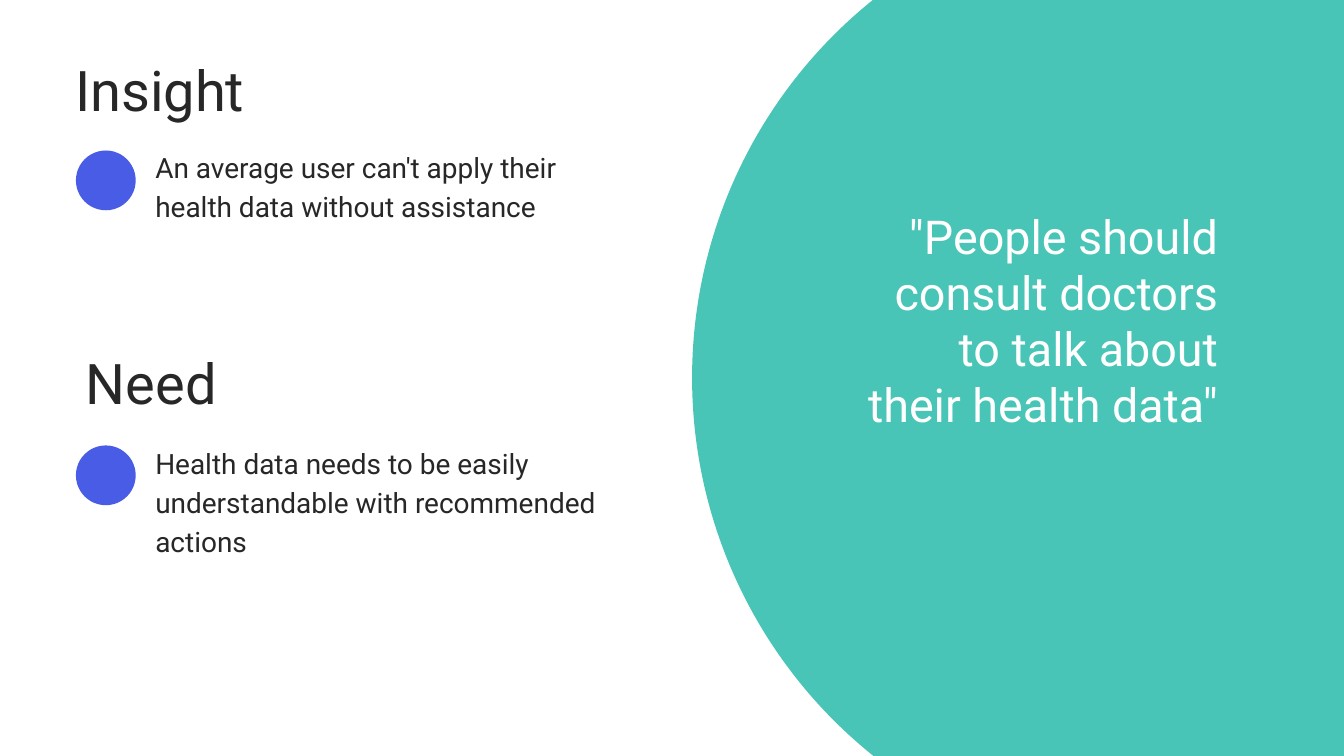
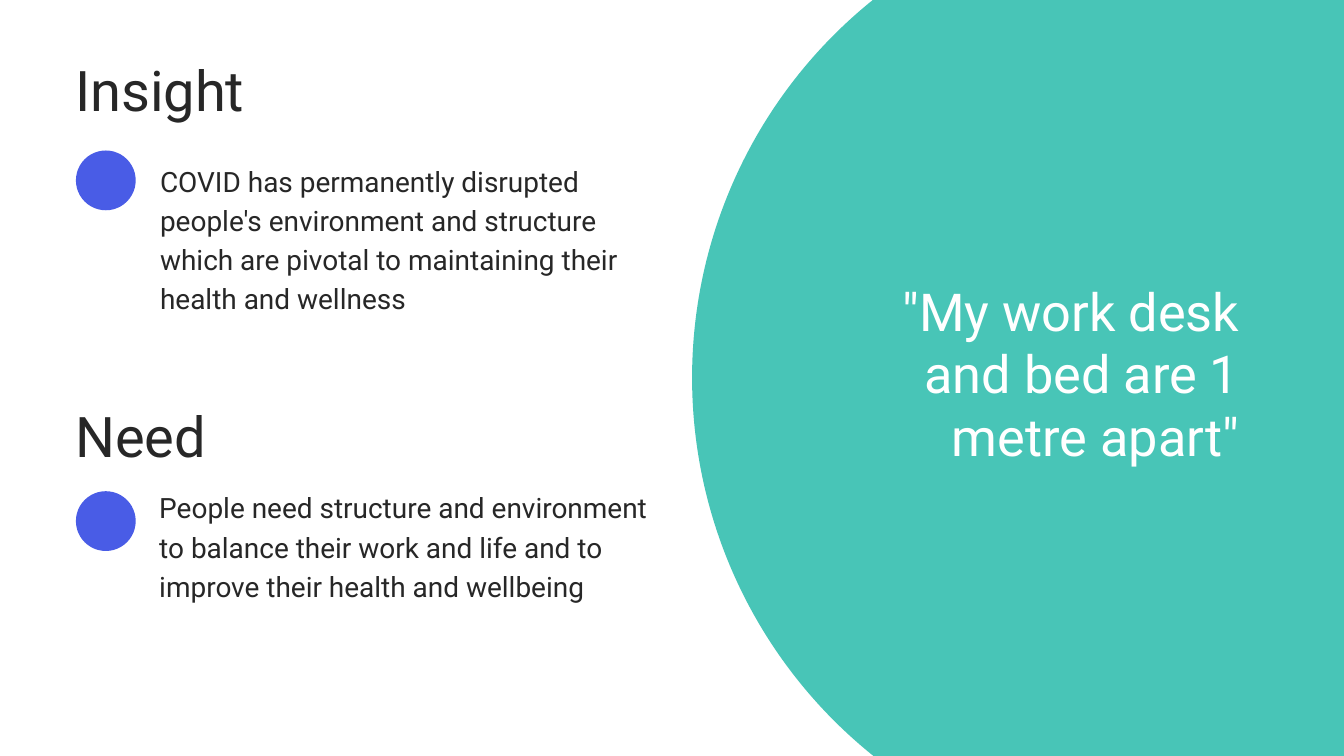
"""Build two insight-and-need slides, each with a user quote on a large circle."""
from pptx import Presentation
from pptx.dml.color import RGBColor
from pptx.enum.shapes import MSO_SHAPE
from pptx.enum.text import MSO_ANCHOR, MSO_AUTO_SIZE, PP_ALIGN
from pptx.util import Cm, Pt

OVAL = MSO_SHAPE.OVAL
TOP = MSO_ANCHOR.TOP
NO_FIT = MSO_AUTO_SIZE.NONE
LEFT, RIGHT = PP_ALIGN.LEFT, PP_ALIGN.RIGHT

COLORS = {"teal": "48C5B7", "blue": "495CE6", "ink": "272727", "white": "FFFFFF"}
FONT = "Roboto"
HEADING = {"size": 60, "spacing": 72}
BODY = {"size": 30, "spacing": 42}
HEADING_WIDTH, HEADING_HEIGHT = 17.83, 2.54
DOT_LEFT, DOT_SIZE = 2.87, 2.26

SLIDES = [
    {
        "insight": "An average user can't apply their health data without assistance",
        "insight_box": (5.87, 5.49, 17.53, 2.95),
        "need_heading": (3.25, 13.16),
        "need_dot_top": 16.84,
        "need": "Health data needs to be easily understandable with recommended actions",
        "need_box": (5.87, 16.66, 19, 4.42),
        "quote": '"People should consult doctors to talk about their health data"',
        "quote_box": (32.31, 7.87, 13.74, 10.59),
        "quote_type": {"size": 50, "spacing": 60},
    },
    {
        "insight": "COVID has permanently disrupted people's environment and structure "
                   "which are pivotal to maintaining their health and wellness",
        "insight_box": (6.05, 5.99, 17.53, 7.39),
        "need_heading": (2.84, 15.19),
        "need_dot_top": 18.57,
        "need": "People need structure and environment to balance their work and life "
                "and to improve their health and wellbeing",
        "need_box": (6.02, 18.35, 19.38, 4.44),
        "quote": '"My work desk and bed are 1 metre apart"',
        "quote_box": (31.67, 10.54, 15.19, 7.11),
        "quote_type": {"size": 56, "spacing": 67.3},
    },
]


def add_circle(slide, left, top, width, height, color):
    circle = slide.shapes.add_shape(OVAL, Cm(left), Cm(top), Cm(width), Cm(height))
    circle.shadow.inherit = False
    circle.fill.solid()
    circle.fill.fore_color.rgb = RGBColor.from_string(COLORS[color])
    circle.line.fill.background()


def write(slide, text, box, size, spacing, color="ink", align=LEFT, holder=None):
    left, top, width, height = (Cm(length) for length in box)
    if holder is None:
        holder = slide.shapes.add_textbox(left, top, width, height)
    holder.left, holder.top, holder.width, holder.height = left, top, width, height
    frame = holder.text_frame
    frame.word_wrap = True
    frame.auto_size = NO_FIT
    frame.vertical_anchor = TOP
    frame.margin_left = frame.margin_right = frame.margin_top = frame.margin_bottom = 0
    frame.text = text
    paragraph = frame.paragraphs[0]
    paragraph.alignment = align
    paragraph.line_spacing = Pt(spacing)
    paragraph.font.name = FONT
    paragraph.font.size = Pt(size)
    paragraph.font.color.rgb = RGBColor.from_string(COLORS[color])


deck = Presentation()
deck.slide_width, deck.slide_height = Cm(50.8), Cm(28.58)
title_only = deck.slide_layouts[5]

for content in SLIDES:
    slide = deck.slides.add_slide(title_only)
    add_circle(slide, 26.16, -4.01, 36.42, 36.58, "teal")
    for dot_top in (5.69, content["need_dot_top"]):
        add_circle(slide, DOT_LEFT, dot_top, DOT_SIZE, DOT_SIZE, "blue")

    write(slide, "Insight", (2.84, 2.08, HEADING_WIDTH, HEADING_HEIGHT),
          **HEADING, holder=slide.shapes.title)
    write(slide, content["insight"], content["insight_box"], **BODY)
    write(slide, "Need", (*content["need_heading"], HEADING_WIDTH, HEADING_HEIGHT),
          **HEADING)
    write(slide, content["need"], content["need_box"], **BODY)
    write(slide, content["quote"], content["quote_box"], **content["quote_type"],
          color="white", align=RIGHT)

deck.save("out.pptx")
